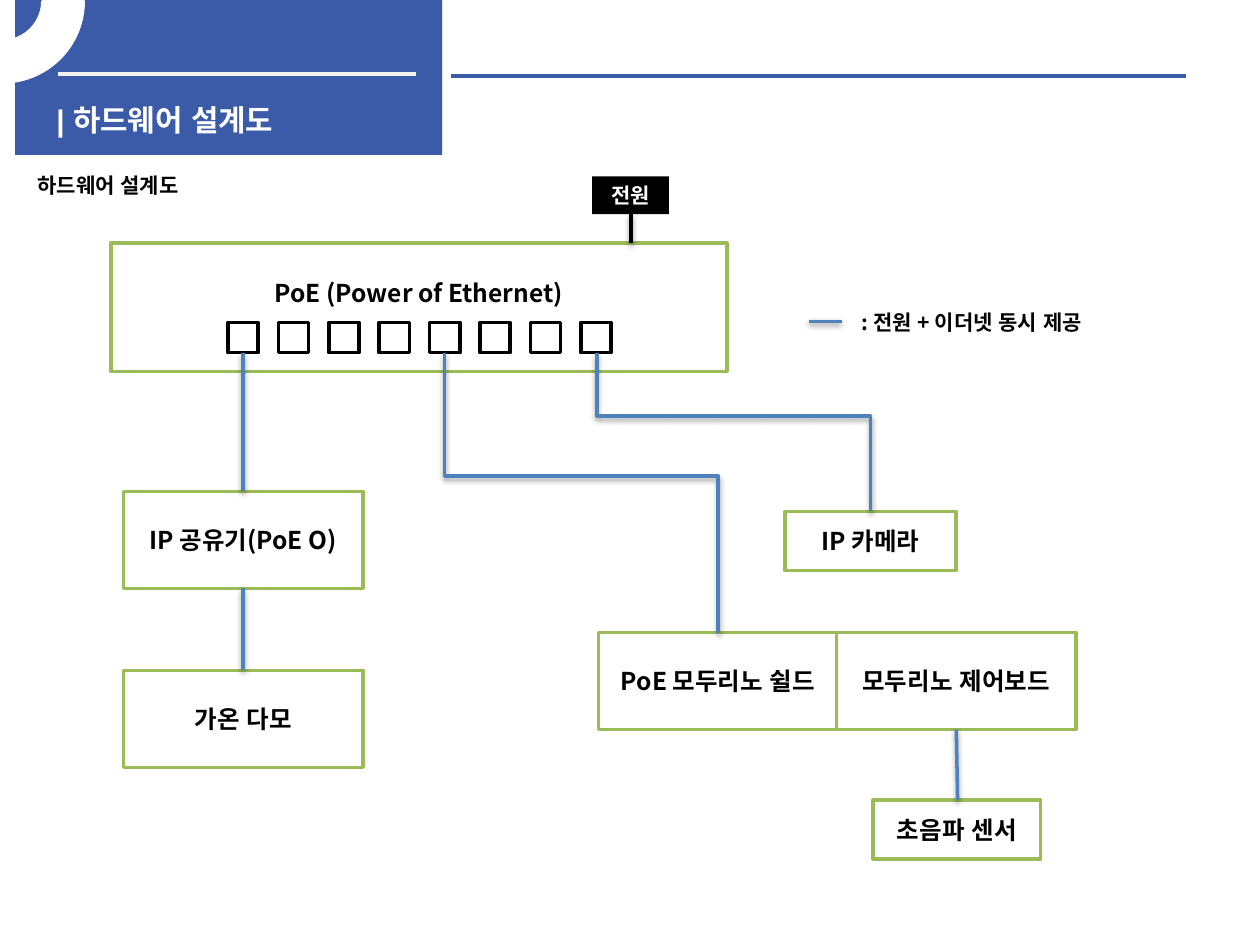
import pptx
import pptx.util
import pptx.dml.color
import pptx.enum.dml
import pptx.enum.lang
import pptx.enum.shapes
import pptx.enum.text
import pptx.oxml
import pptx.oxml.ns
from pptx.util import Inches, Pt

BLUE, GREEN, WIRE = "3B5AA8", "9BBB59", "4F81BD"
WHITE, BLACK, PALE = "FFFFFF", "000000", "F2F2F2"
SANS = "Noto Sans CJK KR"
SHAPE = pptx.enum.shapes.MSO_SHAPE
CONNECTOR = pptx.enum.shapes.MSO_CONNECTOR
ALIGN = pptx.enum.text.PP_ALIGN
ANCHOR = pptx.enum.text.MSO_ANCHOR

UNIT = (1.9, 0.77)
DEVICES = [
    ("IP 공유기(PoE O)", 0.98, 3.9, *UNIT),
    ("가온 다모", 0.98, 5.32, *UNIT),
    ("PoE 모두리노 쉴드", 4.75, 5.02, *UNIT),
    ("모두리노 제어보드", 6.64, 5.02, *UNIT),
    ("IP 카메라", 6.23, 4.06, 1.36, 0.47),
    ("초음파 센서", 6.93, 6.35, 1.33, 0.47),
]
PORT_COUNT, PORT_LEFT, PORT_TOP, PORT_SIZE, PORT_STEP = 8, 1.81, 2.56, 0.24, 0.4
PORT_BOTTOM = PORT_TOP + PORT_SIZE
RULES = [
    ((0.46, 0.59), (3.3, 0.59), PALE),
    ((3.58, 0.6), (9.41, 0.6), BLUE),
]
WIRES = [
    ((1.93, PORT_BOTTOM), (1.93, 3.9), WIRE),
    ((1.93, 4.67), (1.93, 5.32), WIRE),
    ((7.59, 5.79), (7.6, 6.35), WIRE),
    ((6.42, 2.55), (6.68, 2.55), WIRE),
    ((5.01, 1.7), (5.01, 1.93), BLACK),
]
ELBOWS = [
    ((3.53, PORT_BOTTOM), (5.7, 5.02), 0.44),
    ((4.74, PORT_BOTTOM), (6.91, 4.06), 0.4),
]
LABELS = [
    ("| 하드웨어 설계도", 0.35, 0.76, 3.23, 0.21, 17, WHITE, "Arial"),
    ("하드웨어 설계도", 0.2, 1.32, 2.79, 0.3, 12, BLACK, SANS),
    (": 전원 + 이더넷 동시 제공", 6.74, 2.41, 2.44, 0.3, 12, BLACK, SANS),
]
SHADOW = (
    '<a:outerShdw blurRad="40000" dist="20000" dir="5400000" rotWithShape="0">'
    '<a:srgbClr val="000000"><a:alpha val="38000"/></a:srgbClr></a:outerShdw>'
)

deck = pptx.Presentation()
deck.slide_width, deck.slide_height = Inches(10), Inches(7.5)
slide = deck.slides.add_slide(deck.slide_layouts[6])


def color(value):
    return pptx.dml.color.RGBColor.from_string(value)


def write(shape, text, size, ink, font=SANS, align=ALIGN.CENTER):
    frame = shape.text_frame
    frame.word_wrap = True
    para = frame.paragraphs[0]
    para.alignment = align
    span = para.add_run()
    span.text = text
    span.font.size, span.font.bold, span.font.name = Pt(size), True, font
    span.font.color.rgb = color(ink)
    span.font.language_id = pptx.enum.lang.MSO_LANGUAGE_ID.KOREAN
    latin = span.font._element.find(pptx.oxml.ns.qn("a:latin"))
    latin.addnext(pptx.oxml.parse_xml(
        f'<a:ea {pptx.oxml.ns.nsdecls("a")} typeface="{SANS}"/>'))
    return frame


def add_box(left, top, width, height, fill=WHITE, line=None, kind=SHAPE.RECTANGLE):
    box = slide.shapes.add_shape(kind, *map(Inches, (left, top, width, height)))
    box.shadow.inherit = False
    box.fill.solid()
    box.fill.fore_color.rgb = color(fill)
    if line:
        box.line.color.rgb = color(line)
        box.line.width = Pt(2)
    else:
        box.line.fill.background()
    return box


def add_device(text, *place, size=14, fill=WHITE, line=GREEN, ink=BLACK):
    box = add_box(*place, fill, line)
    frame = write(box, text, size, ink)
    frame.vertical_anchor = ANCHOR.MIDDLE
    return frame


def add_line(start, end, ink, width=2, effect=SHADOW, kind=CONNECTOR.STRAIGHT):
    line = slide.shapes.add_connector(kind, *map(Inches, (*start, *end)))
    line.line.color.rgb = color(ink)
    line.line.width = Pt(width)
    line._element.spPr.append(pptx.oxml.parse_xml(
        f'<a:effectLst {pptx.oxml.ns.nsdecls("a")}>{effect}</a:effectLst>'))
    return line


def add_elbow(start, end, bend):
    across, down = end[0] - start[0], end[1] - start[1]
    middle_x, middle_y = (start[0] + end[0]) / 2, (start[1] + end[1]) / 2
    corner = (middle_x - down / 2, middle_y - across / 2)
    opposite = (middle_x + down / 2, middle_y + across / 2)
    line = add_line(corner, opposite, WIRE, kind=CONNECTOR.ELBOW)
    properties = line._element.spPr
    frame = properties.find(pptx.oxml.ns.qn("a:xfrm"))
    frame.set("rot", "16200000")
    frame.set("flipH", "1")
    geometry = properties.find(pptx.oxml.ns.qn("a:prstGeom"))
    for old in list(geometry):
        geometry.remove(old)
    geometry.append(pptx.oxml.parse_xml(
        f'<a:avLst {pptx.oxml.ns.nsdecls("a")}>'
        f'<a:gd name="adj1" fmla="val {round(bend * 100000)}"/></a:avLst>'))


add_box(0.12, 0, 3.39, 1.23, BLUE)
for start, end, ink in RULES:
    add_line(start, end, ink, 2.25, "")

ring = add_box(-0.63, -0.63, 1.29, 1.28, WHITE, WHITE, SHAPE.BLOCK_ARC)
ring.adjustments[0] = 161.59 * 60000 / 100000
ring.adjustments[1] = 0
ring.adjustments[2] = 0.25
ring._element.spPr.find(pptx.oxml.ns.qn("a:xfrm")).set("flipV", "1")

hub = add_device("PoE (Power of Ethernet)", 0.88, 1.93, 4.89, 1.02)
hub.margin_bottom = Inches(0.29)
for device in DEVICES:
    add_device(*device)
for index in range(PORT_COUNT):
    add_box(PORT_LEFT + index * PORT_STEP, PORT_TOP, PORT_SIZE, PORT_SIZE, WHITE, BLACK)
add_device("전원", 4.7, 1.4, 0.61, 0.3, size=12, fill=BLACK, line=None, ink=WHITE)

for wire in WIRES:
    add_line(*wire)
for elbow in ELBOWS:
    add_elbow(*elbow)
for text, left, top, width, height, size, ink, font in LABELS:
    label = slide.shapes.add_textbox(*map(Inches, (left, top, width, height)))
    write(label, text, size, ink, font, ALIGN.LEFT)

deck.save("out.pptx")
